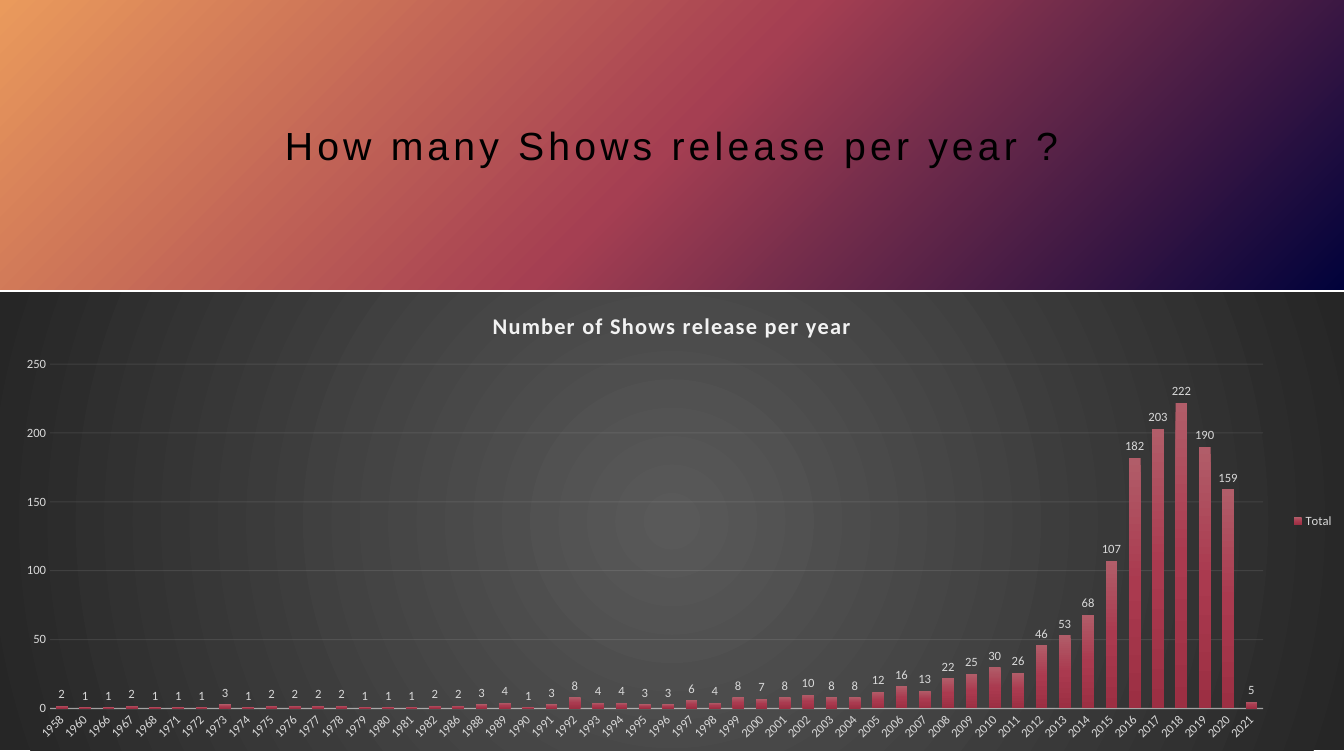
"""Builds a slide with a gradient banner above a column chart of shows per year."""
from pptx import Presentation
from pptx.chart.data import CategoryChartData
from pptx.dml.color import RGBColor
from pptx.enum.chart import XL_CHART_TYPE, XL_LABEL_POSITION, XL_LEGEND_POSITION, XL_TICK_MARK
from pptx.enum.shapes import MSO_SHAPE
from pptx.enum.text import MSO_ANCHOR, PP_ALIGN
from pptx.oxml import parse_xml
from pptx.oxml.ns import nsdecls, qn
from pptx.util import Pt

BLACK = RGBColor(0x00, 0x00, 0x00)
PALE = RGBColor(0xF2, 0xF2, 0xF2)
SILVER = RGBColor(0xD9, 0xD9, 0xD9)
NAVY = RGBColor(0x01, 0x02, 0x3B)
CRIMSON = RGBColor(0xA5, 0x3F, 0x52)
ORANGE = RGBColor(0xEA, 0x9A, 0x5C)
GREY = RGBColor(0x59, 0x59, 0x59)
CHARCOAL = RGBColor(0x26, 0x26, 0x26)
ROSE = RGBColor(0xB1, 0x5D, 0x69)
RED = RGBColor(0xAA, 0x3A, 0x4F)
WINE = RGBColor(0x9C, 0x2F, 0x43)

FROM_CORNER = '<a:path path="circle"><a:fillToRect l="100000" t="100000"/></a:path>'
FROM_CENTRE = ('<a:path path="circle">'
               '<a:fillToRect l="50000" t="50000" r="50000" b="50000"/></a:path>')
DOWNWARD = '<a:lin ang="5400000" scaled="0"/>'

YEARS = [1958, 1960, *range(1966, 1969), *range(1971, 1983), 1986, *range(1988, 2022)]
SHOWS = [2, 1, 1, 2, 1, 1, 1, 3, 1, 2, 2, 2, 2, 1, 1, 1, 2, 2, 3, 4, 1, 3, 8, 4, 4, 3,
         3, 6, 4, 8, 7, 8, 10, 8, 8, 12, 16, 13, 22, 25, 30, 26, 46, 53, 68, 107, 182,
         203, 222, 190, 159, 5]


def gradient(colors, direction):
    """Return a gradient fill with evenly spaced colours."""
    step = 100000 // (len(colors) - 1)
    stops = "".join(f'<a:gs pos="{index * step}"><a:srgbClr val="{color}"/></a:gs>'
                    for index, color in enumerate(colors))
    return parse_xml(f'<a:gradFill {nsdecls("a")} rotWithShape="1">'
                     f'<a:gsLst>{stops}</a:gsLst>{direction}</a:gradFill>')


class SlideBuilder:
    """Holds the style and the current slide."""

    heading_font = "Arial"
    chart_font = "Calibri"

    def __init__(self, slide):
        """Keep the slide to draw on."""
        self.slide = slide

    def style_font(self, font, name, size, color):
        """Set the typeface, size and colour of a font."""
        font.name, font.size = name, Pt(size)
        font.color.rgb = color

    def fill_gradient(self, fill, properties, colors, direction):
        """Give a shape or a series a gradient fill."""
        fill.gradient()
        properties.replace(properties.find(qn("a:gradFill")), gradient(colors, direction))

    def style_line(self, line, width, opacity):
        """Draw a pale, partly transparent line."""
        line.width = Pt(width)
        line.color.rgb = PALE
        color = line.fill._xPr.find(".//" + qn("a:srgbClr"))
        color.append(parse_xml(f'<a:alpha {nsdecls("a")} val="{opacity * 1000}"/>'))

    def banner(self, text, left, top, width, height):
        """Add the heading on a diagonal gradient."""
        box = self.slide.shapes.add_shape(
            MSO_SHAPE.RECTANGLE, Pt(left), Pt(top), Pt(width), Pt(height))
        box.shadow.inherit = False
        box.line.fill.background()
        self.fill_gradient(box.fill, box._element.spPr, [NAVY, CRIMSON, ORANGE], FROM_CORNER)
        frame = box.text_frame
        frame.text = text
        frame.word_wrap = True
        frame.vertical_anchor = MSO_ANCHOR.MIDDLE
        para = frame.paragraphs[0]
        para.alignment = PP_ALIGN.CENTER
        span = para.runs[0]
        self.style_font(span.font, self.heading_font, 28, BLACK)
        span.font._element.set("spc", "300")

    def column_chart(self, title, left, top, width, height):
        """Add the chart of shows per year."""
        data = CategoryChartData()
        data.categories = [str(year) for year in YEARS]
        data.add_series("Total", SHOWS)
        chart = self.slide.shapes.add_chart(
            XL_CHART_TYPE.COLUMN_CLUSTERED, Pt(left), Pt(top), Pt(width), Pt(height),
            data).chart
        self.style_font(chart.font, self.chart_font, 10, BLACK)
        self.chart_background(chart)
        self.chart_title(chart, title)
        self.chart_axes(chart)
        self.chart_columns(chart.plots[0])
        chart.has_legend = True
        chart.legend.position = XL_LEGEND_POSITION.RIGHT
        chart.legend.include_in_layout = False
        self.style_font(chart.legend.font, self.chart_font, 9, SILVER)

    def chart_background(self, chart):
        """Fill the chart area from its centre outwards."""
        area = parse_xml(f'<c:spPr {nsdecls("c", "a")}><a:ln><a:noFill/></a:ln></c:spPr>')
        area.insert(0, gradient([GREY, CHARCOAL], FROM_CENTRE))
        chart.element.find(qn("c:chart")).addnext(area)

    def chart_title(self, chart, title):
        """Write the chart title."""
        chart.has_title = True
        chart.chart_title.include_in_layout = False
        para = chart.chart_title.text_frame.paragraphs[0]
        para.text = title
        span = para.runs[0]
        self.style_font(span.font, self.chart_font, 16, PALE)
        span.font.bold = True
        span.font._element.set("spc", "100")

    def chart_axes(self, chart):
        """Style both axes and the gridlines."""
        for axis in (chart.category_axis, chart.value_axis):
            axis.major_tick_mark = axis.minor_tick_mark = XL_TICK_MARK.NONE
            self.style_font(axis.tick_labels.font, self.chart_font, 9, SILVER)
        years, counts = chart.category_axis, chart.value_axis
        self.style_line(years.format.line, 1, 54)
        years._element.find(qn("c:txPr")).find(qn("a:bodyPr")).set("rot", "-2700000")
        counts.format.line.fill.background()
        counts.minimum_scale, counts.maximum_scale, counts.major_unit = 0, 250, 50
        counts.has_major_gridlines = True
        self.style_line(counts.major_gridlines.format.line, 0.75, 10)

    def chart_columns(self, plot):
        """Style the columns and their value labels."""
        plot.gap_width, plot.overlap = 100, -24
        plot.vary_by_categories = False
        series = plot.series[0]
        series.invert_if_negative = False
        fill = series.format.fill
        self.fill_gradient(fill, series._element.spPr, [ROSE, RED, WINE], DOWNWARD)
        labels = series.data_labels
        labels.show_value = True
        labels.position = XL_LABEL_POSITION.OUTSIDE_END
        self.style_font(labels.font, self.chart_font, 9, SILVER)


def main():
    """Build and save the deck."""
    deck = Presentation()
    deck.slide_width, deck.slide_height = Pt(960), Pt(540)
    page = SlideBuilder(deck.slides.add_slide(deck.slide_layouts[6]))
    page.banner("How many Shows release per year ?", 0, 0, 960, 206.8)
    page.column_chart("Number of Shows release per year", 0, 208.8, 960, 327)
    deck.save("out.pptx")


if __name__ == "__main__":
    main()
